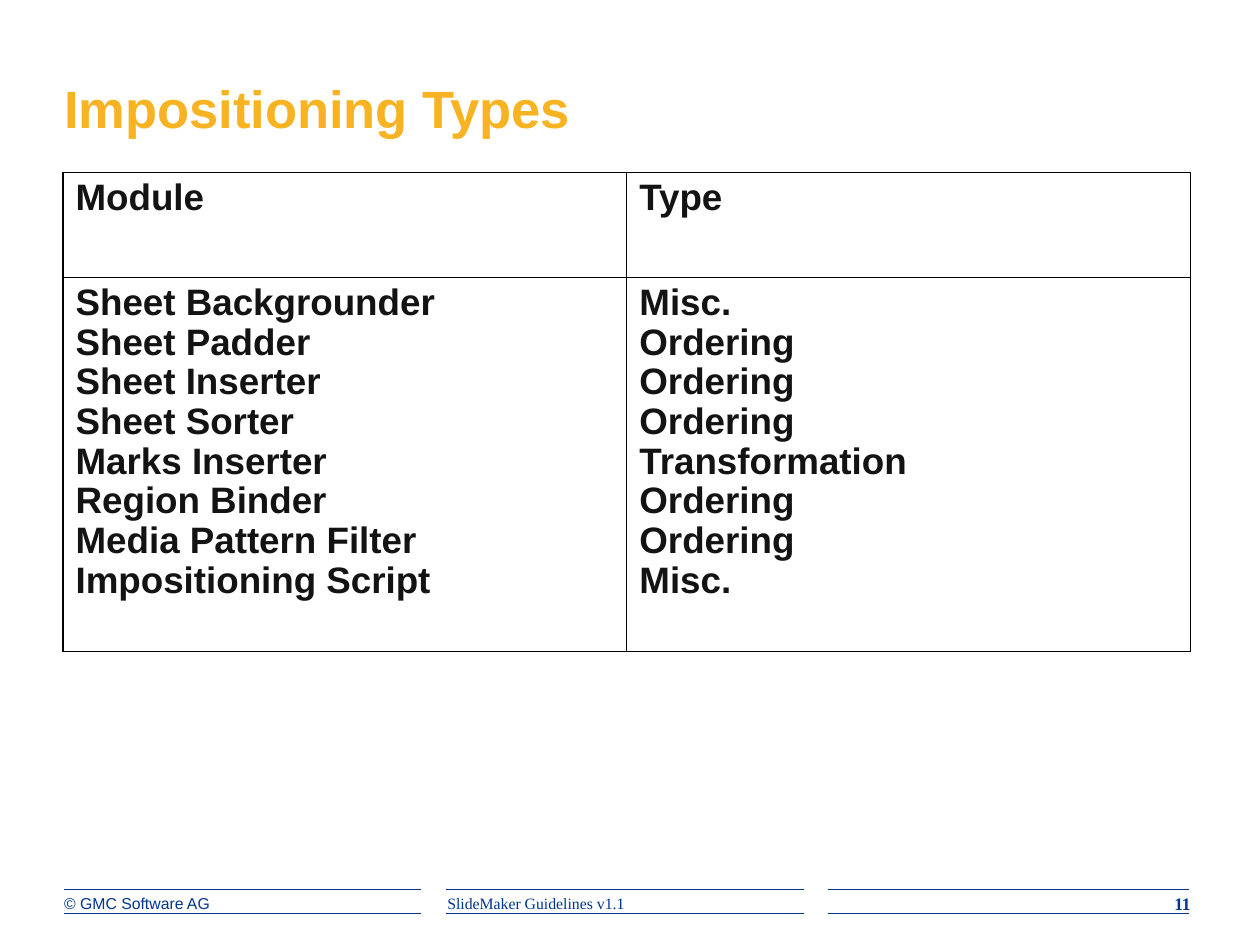
"""Build the Impositioning Types slide with its module table and footer."""
from lxml.etree import SubElement
from pptx import Presentation
from pptx.dml.color import RGBColor
from pptx.enum.shapes import MSO_CONNECTOR
from pptx.enum.text import MSO_ANCHOR, PP_ALIGN
from pptx.oxml.ns import qn
from pptx.util import Inches, Pt

ORANGE = RGBColor(0xF8, 0xB3, 0x23)
NAVY = RGBColor(0x00, 0x36, 0x8A)
INK = RGBColor(0x13, 0x13, 0x13)
BLACK = RGBColor(0x00, 0x00, 0x00)
OUTER, INNER = Pt(1.08), Pt(0.45)


def set_font(p, name, size, color, bold=False):
    p.font.name = name
    p.font.size = Pt(size)
    p.font.color.rgb = color
    p.font.bold = bold


def add_border(cell, side, width):
    ln = SubElement(cell._tc.get_or_add_tcPr(), qn(f"a:ln{side}"), w=str(int(width)))
    fill = SubElement(ln, qn("a:solidFill"))
    SubElement(fill, qn("a:srgbClr"), val=str(BLACK))


prs = Presentation()
prs.slide_width, prs.slide_height = Inches(10), Inches(7.5)
s = prs.slides.add_slide(prs.slide_layouts[5])

for left, right in [(0.51, 3.34), (3.54, 6.38), (6.57, 9.44)]:
    for y in (7.06, 7.25):
        line = s.shapes.add_connector(
            MSO_CONNECTOR.STRAIGHT, Inches(left), Inches(y), Inches(right), Inches(y))
        line.line.color.rgb = NAVY
        line.line.width = Pt(0.5)
        SubElement(line._element.spPr, qn("a:effectLst"))

title = s.shapes.title
title.left, title.top = Inches(0.51), Inches(0.42)
title.width, title.height = Inches(6.82), Inches(0.68)
tf = title.text_frame
tf.margin_left = tf.margin_top = tf.margin_right = tf.margin_bottom = 0
tf.vertical_anchor = MSO_ANCHOR.BOTTOM
tf.text = "Impositioning Types"
tf.paragraphs[0].alignment = PP_ALIGN.LEFT
set_font(tf.paragraphs[0], "Arial", 30, ORANGE, True)

modules = [
    ("Sheet Backgrounder", "Misc."),
    ("Sheet Padder", "Ordering"),
    ("Sheet Inserter", "Ordering"),
    ("Sheet Sorter", "Ordering"),
    ("Marks Inserter", "Transformation"),
    ("Region Binder", "Ordering"),
    ("Media Pattern Filter", "Ordering"),
    ("Impositioning Script", "Misc."),
]
rows = [("Module", "Type"), ["\n".join(column) for column in zip(*modules)]]
table = s.shapes.add_table(
    2, 2, Inches(0.5), Inches(1.37), Inches(8.95), Inches(3.8)).table
table.first_row = table.horz_banding = False
table.rows[0].height, table.rows[1].height = Inches(0.83), Inches(2.97)
for i, row in enumerate(rows):
    for j, text in enumerate(row):
        cell = table.cell(i, j)
        cell.text = text
        for p in cell.text_frame.paragraphs:
            p.line_spacing = 0.97
            set_font(p, "Arial", 21, INK, True)
        for side, is_outer in [("L", j == 0), ("R", j == 1), ("T", i == 0), ("B", i == 1)]:
            add_border(cell, side, OUTER if is_outer else INNER)
        cell.fill.background()

footers = [
    ("© GMC Software AG", 0.51, 2.81, "Arial", 9, False, PP_ALIGN.LEFT),
    ("SlideMaker Guidelines v1.1", 3.55, 2.82, "Times New Roman", 9, False, PP_ALIGN.LEFT),
    ("11", 8.66, 0.79, "Times New Roman", 10, True, PP_ALIGN.RIGHT),
]
for text, left, width, name, size, bold, align in footers:
    sp = s.shapes.add_textbox(Inches(left), Inches(7.09), Inches(width), Inches(0.2))
    tf = sp.text_frame
    tf.word_wrap = True
    tf.margin_left = tf.margin_top = tf.margin_right = tf.margin_bottom = 0
    p = tf.paragraphs[0]
    p.text = text
    p.alignment = align
    set_font(p, name, size, NAVY, bold)

prs.save("out.pptx")
